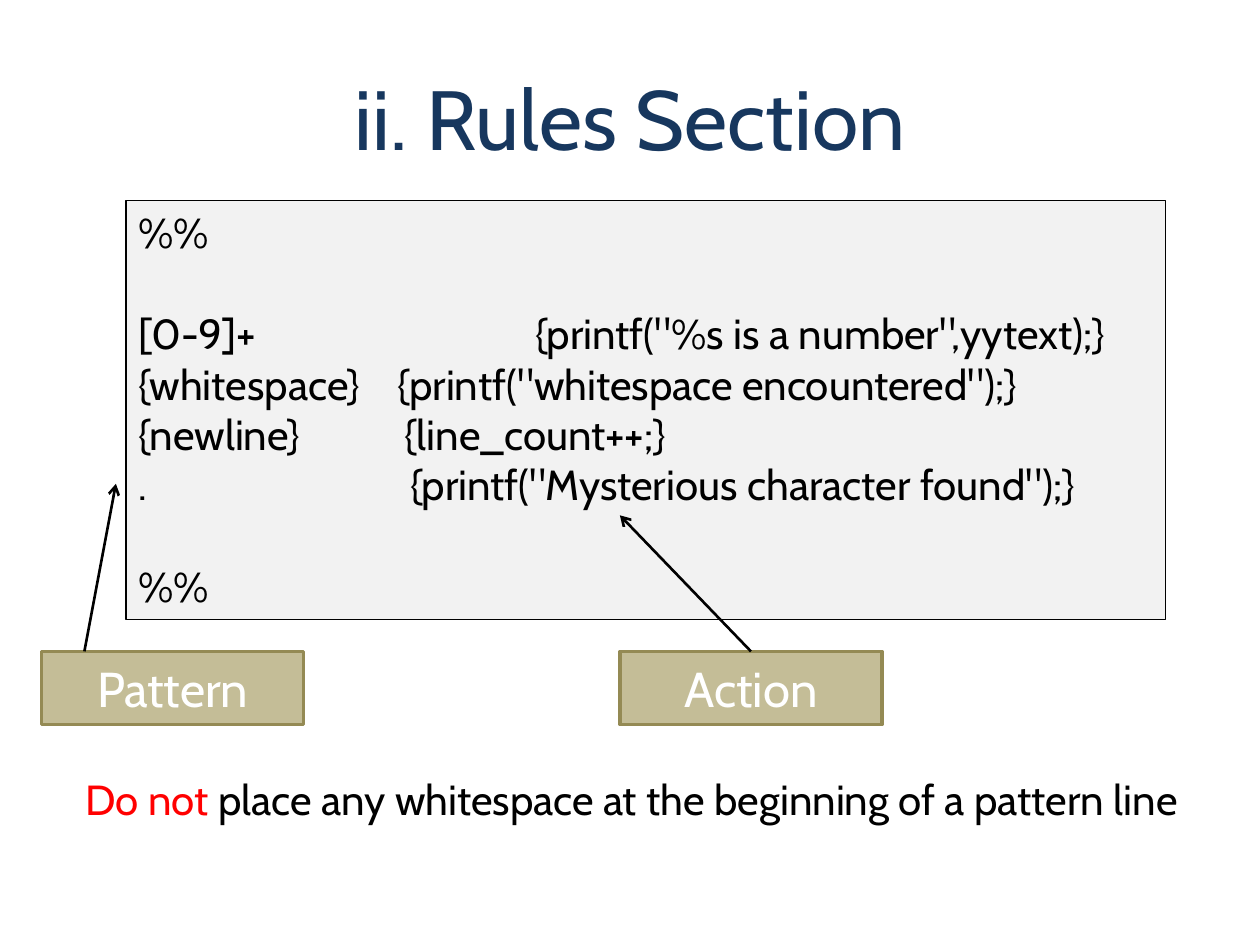
from lxml import etree
from pptx import Presentation, util as u
from pptx.dml.color import RGBColor
from pptx.enum import shapes, text
from pptx.oxml.ns import qn

# Content
FONT = "Cabin"
COLORS = {
    "title": "17375E", "ink": "000000", "warning": "FF0000", "white": "FFFFFF",
    "code": "F2F2F2", "label": "C4BD97", "label_line": "948A54",
}
TITLE = "ii. Rules Section"
# Pattern, action, tab position of the action in inches, lines left free above
CODE_LINES = [
    ("%%", None, None, 0),
    ("[0-9]+", '{printf("%s is a number",yytext);}', 3.15, 1),
    ("{whitespace}", '{printf("whitespace encountered");}', 2.06, 0),
    ("{newline}", "{line_count++;}", 2.11, 0),
    (".", '{printf("Mysterious character found");}', 2.16, 0),
    ("%%", None, None, 1),
]
# Label, its left edge, arrow start x, arrow tip
LABELS = [
    ("Pattern", 0.33, 0.67, (0.92, 3.84)),
    ("Action", 4.92, 5.96, (4.92, 4.09)),
]
NOTE = [
    ("Do not ", "warning"),
    ("place any whitespace at the beginning of a pattern line", "ink"),
]
LABEL_TOP, LABEL_WIDTH, LABEL_HEIGHT = 5.17, 2.08, 0.58
CODE_SIZE, LINE_HEIGHT = 24, 29


def color(name):
    return RGBColor.from_string(COLORS[name])


def inches(*values):
    return [u.Inches(value) for value in values]


def add_run(paragraph, words, size, color_name):
    run = paragraph.add_run()
    run.text = words
    run.font.name = FONT
    run.font.size = u.Pt(size)
    run.font.color.rgb = color(color_name)


def add_box(slide, box, fill, line, width):
    shape = slide.shapes.add_shape(shapes.MSO_SHAPE.RECTANGLE, *inches(*box))
    shape.shadow.inherit = False
    shape.fill.solid()
    shape.fill.fore_color.rgb = color(fill)
    shape.line.color.rgb = color(line)
    shape.line.width = u.Pt(width)
    shape.text_frame.word_wrap = True
    return shape


def add_arrow(slide, start, tip):
    arrow = slide.shapes.add_connector(
        shapes.MSO_CONNECTOR.STRAIGHT, *inches(*start, *tip))
    arrow.line.color.rgb = color("ink")
    arrow.line.width = u.Pt(1.5)
    etree.SubElement(arrow.line._get_or_add_ln(), qn("a:tailEnd"), type="arrow")
    etree.SubElement(arrow._element.spPr, qn("a:effectLst"))


def add_tab_stop(paragraph, position):
    tabs = etree.SubElement(paragraph._p.get_or_add_pPr(), qn("a:tabLst"))
    etree.SubElement(tabs, qn("a:tab"), pos=str(u.Inches(position)), algn="l")


presentation = Presentation()
presentation.slide_width, presentation.slide_height = inches(10, 7.5)
slide = presentation.slides.add_slide(presentation.slide_layouts[5])

# Title
title = slide.shapes.title
title.left, title.top, title.width, title.height = inches(0.5, 0.3, 9, 1.25)
title.text_frame.vertical_anchor = text.MSO_ANCHOR.MIDDLE
paragraph = title.text_frame.paragraphs[0]
paragraph.alignment = text.PP_ALIGN.CENTER
add_run(paragraph, TITLE, 48, "title")

# Code listing, with actions placed by tab stops
frame = add_box(slide, (1, 1.59, 8.25, 3.33), "code", "ink", 0.75).text_frame
frame.vertical_anchor = text.MSO_ANCHOR.TOP
for index, (pattern, action, tab, free_lines) in enumerate(CODE_LINES):
    paragraph = frame.add_paragraph() if index else frame.paragraphs[0]
    paragraph.alignment = text.PP_ALIGN.LEFT
    paragraph.space_before = u.Pt(free_lines * LINE_HEIGHT)
    if action:
        add_tab_stop(paragraph, tab)
    add_run(paragraph, f"{pattern}\t{action}" if action else pattern,
            CODE_SIZE, "ink")

# Labels and their arrows
for label, left, arrow_x, tip in LABELS:
    shape = add_box(slide, (left, LABEL_TOP, LABEL_WIDTH, LABEL_HEIGHT),
                    "label", "label_line", 2)
    shape.text_frame.vertical_anchor = text.MSO_ANCHOR.MIDDLE
    paragraph = shape.text_frame.paragraphs[0]
    paragraph.alignment = text.PP_ALIGN.CENTER
    add_run(paragraph, label, 28, "white")
    add_arrow(slide, (arrow_x, LABEL_TOP), tip)

# Note
note = slide.shapes.add_textbox(*inches(0.58, 6.09, 8.92, 0.91))
note.text_frame.word_wrap = True
for words, color_name in NOTE:
    add_run(note.text_frame.paragraphs[0], words, CODE_SIZE, color_name)

presentation.save("out.pptx")
